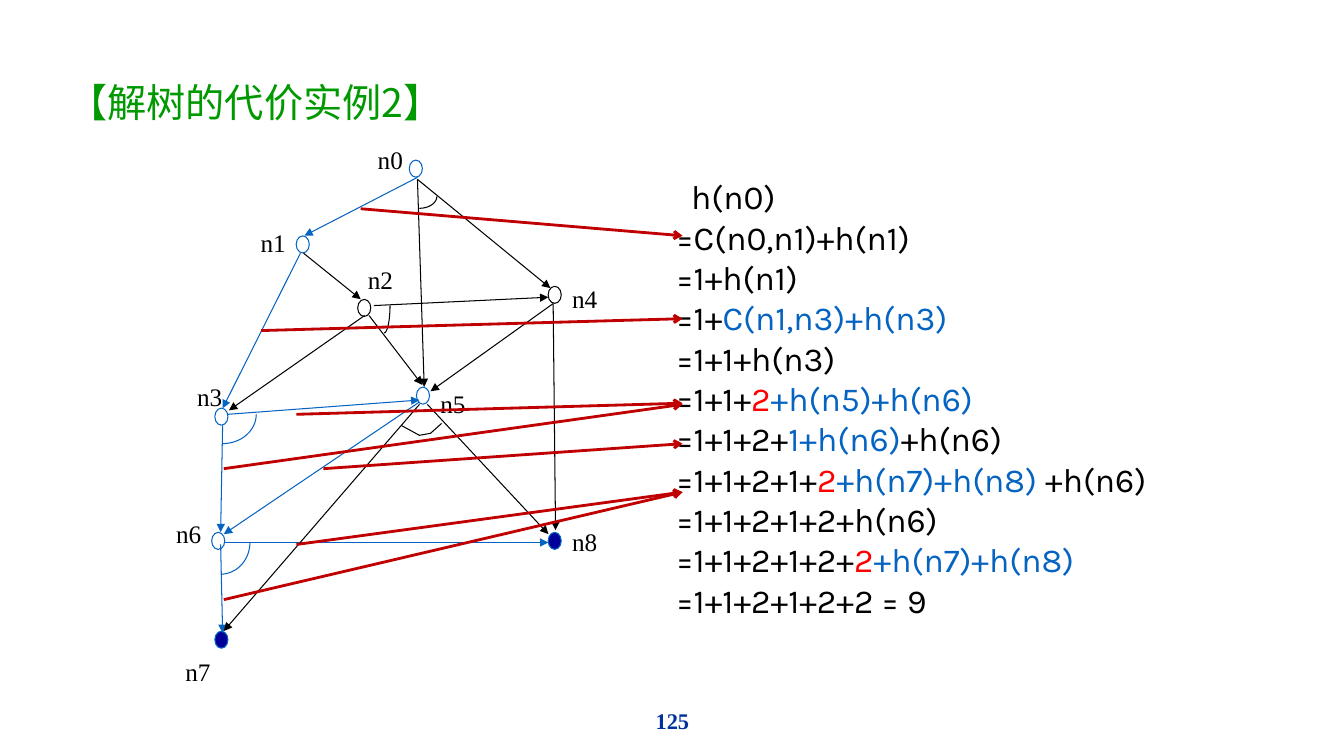
from math import cos, pi, sin

from lxml.etree import SubElement
from pptx import Presentation
from pptx.dml.color import RGBColor
from pptx.enum.shapes import MSO_CONNECTOR, MSO_SHAPE
from pptx.enum.text import MSO_ANCHOR, MSO_AUTO_SIZE, PP_ALIGN
from pptx.oxml.ns import qn
from pptx.util import Cm, Pt

COLOURS = {
    "black": "000000", "blue": "0563C1", "red": "FF0000", "pointer": "C00000",
    "goal": "000099", "title": "009900", "number": "003399",
}
SERIF = "Times New Roman"

NODES = [
    ("n0", (6.48, 0.75), (5.27, 0.01), "blue", False),
    ("n1", (3.63, 2.66), (2.32, 2.11), "blue", False),
    ("n2", (5.18, 4.26), (5.02, 3.03), "black", False),
    ("n3", (1.58, 7.0), (0.72, 5.97), "blue", False),
    ("n4", (9.98, 3.93), (10.17, 3.51), "black", False),
    ("n5", (6.66, 6.47), (6.85, 6.15), "blue", False),
    ("n6", (1.5, 10.13), (0.19, 9.43), "blue", False),
    ("n7", (1.58, 12.62), (0.42, 12.91), "blue", True),
    ("n8", (9.98, 10.13), (10.17, 9.63), "blue", True),
]
EDGES = {
    "blue": [
        ((6.52, 0.97), (3.67, 2.44)), ((3.57, 2.88), (1.61, 6.79)),
        ((1.74, 6.94), (6.57, 6.58)), ((1.61, 7.22), (1.56, 9.91)),
        ((6.57, 6.63), (1.64, 9.96)), ((1.64, 10.17), (9.82, 10.17)),
        ((1.56, 10.22), (1.61, 12.45)),
    ],
    "black": [
        ((6.52, 1.02), (6.69, 6.25)), ((6.52, 1.02), (9.87, 3.76)),
        ((3.65, 2.88), (5.09, 4.04)), ((5.3, 4.45), (6.64, 6.2)),
        ((5.42, 4.2), (9.82, 3.99)), ((5.19, 4.45), (1.77, 6.84)),
        ((9.94, 4.15), (6.85, 6.36)), ((9.94, 4.15), (10, 9.86)),
        ((6.57, 6.69), (1.64, 12.4)), ((6.77, 6.69), (9.82, 9.96)),
    ],
}
ARCS = [
    ((6.57, 1.45), (0.44, 0.3), "black"), ((5.68, 4.2), (0.15, 0.69), "black"),
    ((1.61, 6.94), (0.85, 0.74), "blue"), ((1.56, 10.17), (0.74, 0.8), "blue"),
]
BRACKET = [(6.11, 7.22), (6.57, 7.47), (6.85, 7.42), (7.13, 7.17)]
POINTERS = [
    ((5.09, 1.76), 2.44), ((2.58, 4.83), 4.53), ((1.64, 8.31), 6.69),
    ((3.47, 6.94), 6.66), ((4.15, 8.31), 7.68), ((1.64, 11.61), 8.9),
    ((3.47, 10.22), 8.9),
]
POINTER_END = 13.2
EQUATIONS = [
    [("h(n0)", "black")],
    [("=C(n0,n1)+h(n1)", "black")],
    [("=1+h(n1)", "black")],
    [("=1+", "black"), ("C(n1,n3)+h(n3)", "blue")],
    [("=1+1+h(n3)", "black")],
    [("=1+1+", "black"), ("2", "red"), ("+h(n5)+h(n6)", "blue")],
    [("=1+1+2+", "black"), ("1+h(n6)", "blue"), ("+h(n6)", "black")],
    [("=1+1+2+1+", "black"), ("2", "red"), ("+h(n7)+h(n8)", "blue"), (" +h(n6)", "black")],
    [("=1+1+2+1+2+h(n6)", "black")],
    [("=1+1+2+1+2+", "black"), ("2", "red"), ("+h(n7)+h(n8)", "blue")],
    [("=1+1+2+1+2+2 = 9", "black")],
]


def colour(name):
    """Look up a named colour."""
    return RGBColor.from_string(COLOURS[name])


def style_font(font, name, size, tint, bold=False):
    """Set typeface, size, colour and weight."""
    font.name, font.size, font.bold = name, Pt(size), bold
    font.color.rgb = colour(tint)


def add_arrow(shapes, box, start, end, tint, width, head):
    """Draw an arrow between two points of the box."""
    left, top = box[:2]
    arrow = shapes.add_connector(
        MSO_CONNECTOR.STRAIGHT, Cm(left + start[0]), Cm(top + start[1]),
        Cm(left + end[0]), Cm(top + end[1]))
    arrow.line.color.rgb = colour(tint)
    arrow.line.width = Pt(width)
    SubElement(arrow.line._get_or_add_ln(), qn("a:tailEnd"), type=head)
    SubElement(arrow._element.spPr, qn("a:effectLst"))


def add_curve(shapes, box, points, tint):
    """Draw an open outline through points of the box."""
    places = [(Cm(box[0] + x), Cm(box[1] + y)) for x, y in points]
    builder = shapes.build_freeform(*places[0])
    builder.add_line_segments(places[1:], close=False)
    curve = builder.convert_to_shape()
    curve.shadow.inherit = False
    curve.fill.background()
    curve.line.color.rgb = colour(tint)
    curve.line.width = Pt(0.75)


def add_node(shapes, box, name, centre, label_place, tint, is_goal):
    """Draw one node of the tree and its label."""
    left, top = box[:2]
    width, height = 0.33, 0.43
    node = shapes.add_shape(
        MSO_SHAPE.OVAL, Cm(left + centre[0] - width / 2),
        Cm(top + centre[1] - height / 2), Cm(width), Cm(height))
    node.shadow.inherit = False
    if is_goal:
        node.fill.solid()
        node.fill.fore_color.rgb = colour("goal")
    else:
        node.fill.background()
    node.line.color.rgb = colour(tint)
    node.line.width = Pt(0.75)
    label = shapes.add_textbox(
        Cm(left + label_place[0]), Cm(top + label_place[1]), Cm(1.14), Cm(1.02))
    frame = label.text_frame
    frame.text = name
    frame.word_wrap = False
    frame.vertical_anchor = MSO_ANCHOR.MIDDLE
    style_font(frame.paragraphs[0].runs[0].font, SERIF, 18, "black")


def add_tree(slide, box):
    """Draw the search graph as one group."""
    shapes = slide.shapes.add_group_shape().shapes
    for node in NODES:
        add_node(shapes, box, *node)
    for tint, edges in EDGES.items():
        for start, end in edges:
            add_arrow(shapes, box, start, end, tint, 0.75, "triangle")
    steps = 16
    angles = [pi / 2 * step / steps for step in range(steps + 1)]
    for (x, y), (across, down), tint in ARCS:
        points = [(x + across * cos(angle), y + down * sin(angle)) for angle in angles]
        add_curve(shapes, box, points, tint)
    add_curve(shapes, box, BRACKET, "black")


def add_pointers(slide, box):
    """Link tree edges to the equations they explain."""
    for start, height in POINTERS:
        add_arrow(slide.shapes, box, start, (POINTER_END, height), "pointer", 2, "arrow")


def add_equations(slide, box):
    """Write the cost calculation line by line."""
    frame = slide.shapes.add_textbox(*map(Cm, box)).text_frame
    frame.word_wrap = True
    for index, pieces in enumerate(EQUATIONS):
        para = frame.add_paragraph() if index else frame.paragraphs[0]
        for text, tint in pieces:
            span = para.add_run()
            span.text = text
            style_font(span.font, "Karla", 24, tint)
    frame.paragraphs[0]._p.get_or_add_pPr().set("marL", str(Cm(0.38)))


def add_title(slide, box):
    """Place and format the title."""
    title = slide.shapes.title
    title.left, title.top, title.width, title.height = map(Cm, box)
    frame = title.text_frame
    frame.text = "【解树的代价实例2】"
    frame.auto_size = MSO_AUTO_SIZE.NONE
    frame.vertical_anchor = MSO_ANCHOR.MIDDLE
    para = frame.paragraphs[0]
    para.alignment = PP_ALIGN.LEFT
    para.line_spacing = 0.9
    font = para.runs[0].font
    style_font(font, "Noto Sans CJK SC", 28, "title")
    SubElement(font._element, qn("a:ea"), typeface=font.name)


def add_page_number(slide, box):
    """Write the page number at the foot."""
    frame = slide.shapes.add_textbox(*map(Cm, box)).text_frame
    frame.text = "125"
    frame.word_wrap = True
    frame.vertical_anchor = MSO_ANCHOR.MIDDLE
    para = frame.paragraphs[0]
    para.alignment = PP_ALIGN.CENTER
    style_font(para.runs[0].font, SERIF, 16, "number", bold=True)


def main():
    """Build the deck and save it."""
    deck = Presentation()
    deck.slide_width, deck.slide_height = Cm(33.87), Cm(19.05)
    slide = deck.slides.add_slide(deck.slide_layouts[5])
    tree_box = (4, 3.5, 11.5, 14)
    add_page_number(slide, (11.23, 17.65, 11.43, 1.02))
    add_title(slide, (1.47, 0.81, 29.21, 3.68))
    add_tree(slide, tree_box)
    add_equations(slide, (16.79, 4.32, 14.22, 12.57))
    add_pointers(slide, tree_box)
    deck.save("out.pptx")


if __name__ == "__main__":
    main()
